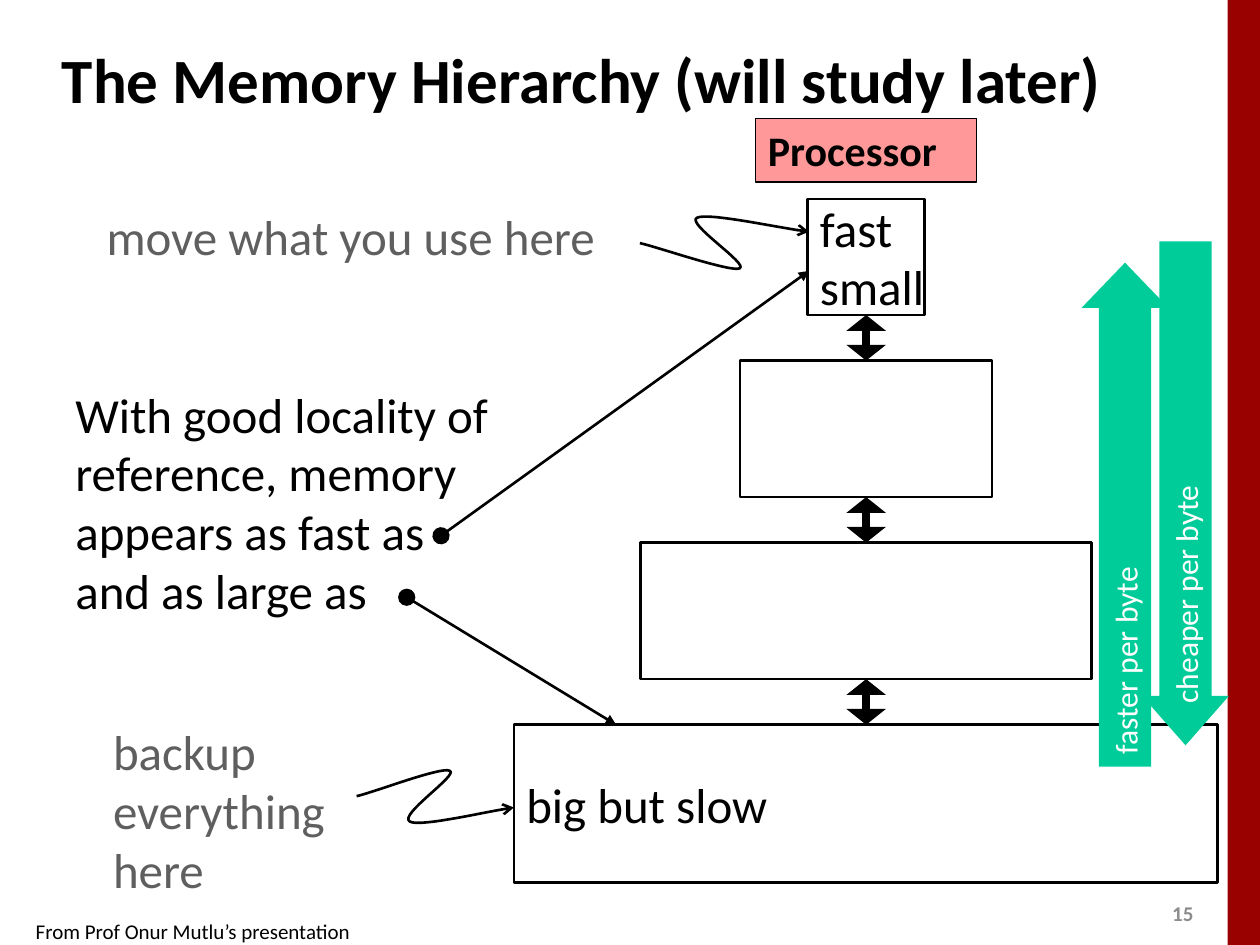
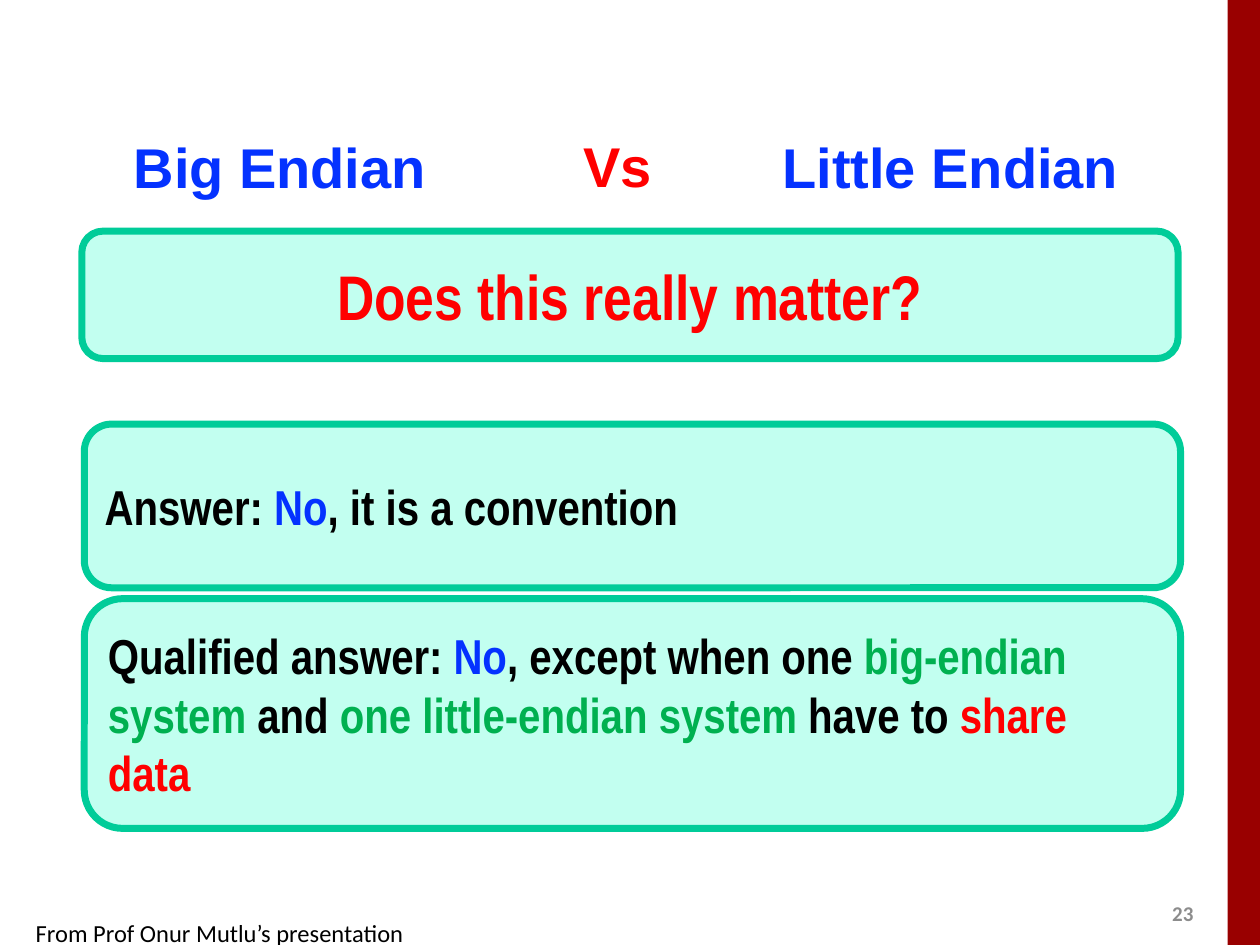
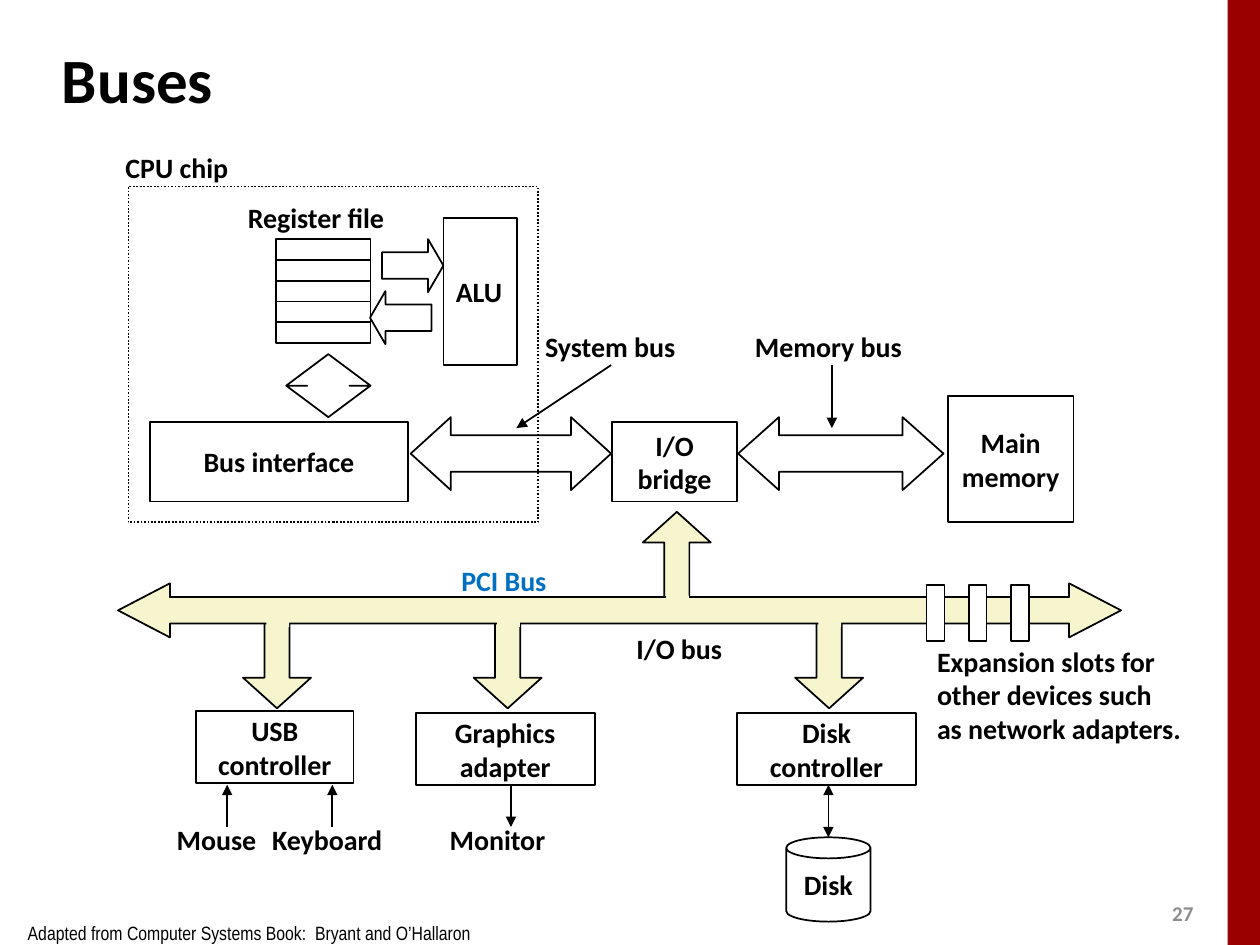
from dataclasses import dataclass, replace
from typing import Any, NamedTuple, Optional, Sequence, Union

from lxml import etree
from pptx import Presentation
from pptx import util as u
from pptx.dml.color import RGBColor
from pptx.enum import dml, shapes, text
from pptx.oxml import ns

BLACK, WHITE, GREY, RED, BLUE = "000000", "FFFFFF", "5F5F5F", "FF0000", "0432FF"
GREEN, TEAL, MINT, CREAM, PINK = "00B050", "00CC99", "C2FFF0", "F7F5CD", "FF9999"
MAROON, NUMBER_GREY, PCI_BLUE = "990000", "8C8C8C", "0070C0"

KIND = shapes.MSO_SHAPE
LEFT, CENTER = text.PP_ALIGN.LEFT, text.PP_ALIGN.CENTER
TOP, MIDDLE = text.MSO_ANCHOR.TOP, text.MSO_ANCHOR.MIDDLE


class Run(NamedTuple):
    words: str
    color: str


class Point(NamedTuple):
    x: float
    y: float


class LineEnd(NamedTuple):
    type: str
    w: str = "med"
    len: str = "med"


@dataclass(frozen=True)
class Look:
    size: float = 16
    bold: bool = True
    color: str = BLACK
    font: str = "Calibri"
    align: Any = LEFT
    anchor: Any = MIDDLE
    wrap: bool = False
    inset: Optional[float] = None


Line = Union[str, Sequence[Run]]

TRIANGLE = LineEnd("triangle")
WIDE_TRIANGLE = LineEnd("triangle", "lg", "sm")
LARGE_DOT = LineEnd("oval", "lg", "lg")
OPEN_ARROW = LineEnd("arrow")

LABEL = Look()
CENTERED = Look(align=CENTER)
BODY = Look(size=28, bold=False)
NOTE = replace(BODY, color=GREY, anchor=TOP)
HEADING = Look(size=36)
ARROW_TEXT = Look(size=18, bold=False, color=WHITE)
ENDIAN = Look(size=32, color=BLUE, font="Arial", align=CENTER, anchor=TOP, wrap=True)
ANSWER = Look(size=28, font="Arial Narrow", wrap=True)


@dataclass(frozen=True)
class Box:
    """A shape, or a plain text box when kind is None. Lengths are in cm, the outline in points."""
    left: float
    top: float
    width: float
    height: float
    lines: Sequence[Line] = ()
    look: Look = CENTERED
    kind: Any = KIND.RECTANGLE
    fill: Optional[str] = None
    outline: float = 1
    outline_color: str = BLACK
    dash: Any = None
    adjustments: Sequence[float] = ()
    rotation: float = 0


class Arrow(NamedTuple):
    start: Point
    end: Point
    head: Optional[LineEnd] = None
    tail: Optional[LineEnd] = TRIANGLE
    weight: float = 1


def rgb(color: str) -> RGBColor:
    return RGBColor.from_string(color)


def set_all(target: Any, values: dict[str, Any]) -> None:
    for name, value in values.items():
        setattr(target, name, value)


def write_text(shape: Any, lines: Sequence[Line], look: Look) -> None:
    frame = shape.text_frame
    set_all(frame, {"word_wrap": look.wrap, "vertical_anchor": look.anchor})
    if look.inset is not None:
        sides = ("left", "top", "right", "bottom")
        set_all(frame, {f"margin_{side}": u.Cm(look.inset) for side in sides})
    for index, line in enumerate(lines):
        paragraph = frame.add_paragraph() if index else frame.paragraphs[0]
        paragraph.alignment = look.align
        for part in [Run(line, look.color)] if isinstance(line, str) else line:
            run = paragraph.add_run()
            run.text = part.words
            set_all(run.font, {"size": u.Pt(look.size), "bold": look.bold, "name": look.font})
            run.font.color.rgb = rgb(part.color)


def set_outline(shape: Any, weight: float, color: str = BLACK) -> None:
    shape.line.color.rgb = rgb(color)
    shape.line.width = u.Pt(weight)


def set_ends(shape: Any, head: Optional[LineEnd], tail: Optional[LineEnd]) -> None:
    outline = shape.line._get_or_add_ln()
    for tag, end in (("a:headEnd", head), ("a:tailEnd", tail)):
        if end:
            etree.SubElement(outline, ns.qn(tag), end._asdict())


def draw_box(slide: Any, box: Box) -> None:
    place = [u.Cm(length) for length in (box.left, box.top, box.width, box.height)]
    if box.kind is None:
        write_text(slide.shapes.add_textbox(*place), box.lines, box.look)
        return
    shape = slide.shapes.add_shape(box.kind, *place)
    shape.shadow.inherit = False
    shape.rotation = box.rotation
    for index, value in enumerate(box.adjustments):
        shape.adjustments[index] = value
    if box.fill:
        shape.fill.solid()
        shape.fill.fore_color.rgb = rgb(box.fill)
    else:
        shape.fill.background()
    if box.outline:
        set_outline(shape, box.outline, box.outline_color)
        if box.dash:
            shape.line.dash_style = box.dash
    else:
        shape.line.fill.background()
    write_text(shape, box.lines, box.look)


def draw_arrow(slide: Any, arrow: Arrow) -> None:
    ends = [u.Cm(length) for length in (*arrow.start, *arrow.end)]
    connector = slide.shapes.add_connector(shapes.MSO_CONNECTOR.STRAIGHT, *ends)
    set_outline(connector, arrow.weight)
    set_ends(connector, arrow.head, arrow.tail)
    etree.SubElement(connector._element.spPr, ns.qn("a:effectLst"))


def draw_all(slide: Any, items: Sequence[Union[Box, Arrow]]) -> None:
    for item in items:
        (draw_arrow if isinstance(item, Arrow) else draw_box)(slide, item)


def draw_curved_arrow(slide: Any, points: Sequence[Point], steps: int = 16) -> None:
    """Draw joined cubic curves; points holds the start, then three points per curve."""
    traced = []
    for first in range(0, len(points) - 1, 3):
        corners = points[first:first + 4]
        for step in range(1, steps + 1):
            t = step / steps
            weights = ((1 - t) ** 3, 3 * t * (1 - t) ** 2, 3 * t ** 2 * (1 - t), t ** 3)
            traced.append([u.Cm(sum(w * corner[axis] for w, corner in zip(weights, corners)))
                           for axis in (0, 1)])
    builder = slide.shapes.build_freeform(u.Cm(points[0].x), u.Cm(points[0].y))
    builder.add_line_segments(traced, close=False)
    shape = builder.convert_to_shape()
    shape.shadow.inherit = False
    shape.fill.background()
    set_outline(shape, 1.5)
    set_ends(shape, None, OPEN_ARROW)


def label(left: float, top: float, width: float, words: str, look: Look = LABEL) -> Box:
    return Box(left, top, width, 0.94, [words], look, kind=None)


def footer(words: str, size: float, left: float = 0.72, top: float = 18.51,
           font: str = "Calibri") -> Box:
    look = Look(size=size, bold=False, font=font, anchor=TOP, inset=0)
    return Box(left, top, 12.6, 0.51, [words], look, kind=None)


def add_slide(presentation: Any, number: int, title: str = "") -> Any:
    slide = presentation.slides.add_slide(presentation.slide_layouts[6])
    draw_all(slide, [
        Box(24.75, 0, 0.65, 19.05, fill=MAROON, outline=0),
        Box(23.38, 18.03, 1.02, 0.76, [str(number)], Look(size=12, color=NUMBER_GREY), kind=None),
    ])
    if title:
        draw_box(slide, Box(1, 0.53, 22.53, 2.11, [title], HEADING, kind=None))
    return slide


def add_memory_hierarchy(presentation: Any) -> None:
    slide = add_slide(presentation, 15, "The Memory Hierarchy (will study later)")
    draw_all(slide, [
        Box(16.28, 4.01, 2.36, 2.34, ["fast", "small"], BODY, outline=1.5),
        Box(10.36, 14.61, 14.18, 3.18, ["big but slow"], BODY, outline=1.5),
        Box(1.9, 4.04, 10.69, 1.45, ["move what you use here"], NOTE, kind=None),
        Box(2.03, 14.43, 4.95, 3.84, ["backup", "everything", "here"], NOTE, kind=None),
        Box(1.27, 7.62, 9.4, 5.05,
            ["With good locality of reference, memory appears as fast as", "and as large as"],
            replace(BODY, anchor=TOP, wrap=True), kind=None),
        Arrow(Point(8.89, 10.8), Point(16.31, 5.46), LARGE_DOT, weight=1.5),
        Arrow(Point(8.2, 12.04), Point(12.42, 14.61), LARGE_DOT, weight=1.5),
    ])
    draw_curved_arrow(slide, [
        Point(12.9, 4.9), Point(13.26, 4.98), Point(14.73, 5.49), Point(14.91, 5.41),
        Point(15.11, 5.33), Point(13.82, 4.5), Point(14.05, 4.39),
        Point(14.27, 4.27), Point(15.82, 4.62), Point(16.31, 4.67)])
    draw_curved_arrow(slide, [
        Point(7.19, 16.05), Point(7.52, 15.98), Point(8.92, 15.44), Point(9.07, 15.54),
        Point(9.25, 15.62), Point(8.03, 16.43), Point(8.26, 16.56),
        Point(8.46, 16.69), Point(9.93, 16.33), Point(10.36, 16.28)])

    axis, first_gap, gap, level_height = 17.46, 6.35, 0.92, 2.75
    for index, level_width in enumerate((5.08, 9.09, None)):
        gap_top = first_gap + index * (gap + level_height)
        level_top = gap_top + gap
        draw_arrow(slide, Arrow(Point(axis, gap_top), Point(axis, level_top),
                                WIDE_TRIANGLE, WIDE_TRIANGLE, 4.5))
        if level_width:
            draw_box(slide, Box(axis - level_width / 2, level_top, level_width, level_height,
                                fill=WHITE, outline=1.5))

    draw_all(slide, [
        Box(17.6, 9.5, 10.16, 1.75, ["faster per byte"], ARROW_TEXT, KIND.RIGHT_ARROW, TEAL,
            outline=0, adjustments=(0.6, 0.52), rotation=270),
        Box(18.82, 9.07, 10.16, 1.75, ["cheaper per byte"], ARROW_TEXT, KIND.LEFT_ARROW, TEAL,
            outline=0, adjustments=(0.6, 0.57), rotation=270),
        Box(15.23, 2.39, 4.45, 1.28, ["Processor"], Look(size=24, anchor=TOP, wrap=True),
            fill=PINK, outline=0.75),
        footer("From Prof Onur Mutlu’s presentation", 12),
    ])


def answer_box(left: float, top: float, height: float, line: Line, look: Look = ANSWER) -> Box:
    return Box(left, top, 22.1, height, [line], look, KIND.ROUNDED_RECTANGLE, MINT, 4, TEAL)


def add_endianness(presentation: Any) -> None:
    slide = add_slide(presentation, 23)
    draw_all(slide, [
        label(1.53, 2.54, 8.23, "Big Endian", ENDIAN),
        label(14.82, 2.54, 8.69, "Little Endian", ENDIAN),
        answer_box(1.65, 4.66, 2.57, "Does this really matter?",
                   replace(ANSWER, size=36, color=RED, align=CENTER)),
        answer_box(1.7, 8.55, 3.3, [
            Run("Answer: ", BLACK), Run("No", BLUE), Run(", it is a convention", BLACK)]),
        answer_box(1.7, 12.07, 4.63, [
            Run("Qualified answer: ", BLACK), Run("No", BLUE), Run(", except when one ", BLACK),
            Run("big-endian system", GREEN), Run(" and ", BLACK),
            Run("one little-endian system", GREEN), Run(" have to ", BLACK),
            Run("share data", RED)]),
        label(8.33, 2.52, 8.23, "Vs", replace(ENDIAN, color=RED)),
        footer("From Prof Onur Mutlu’s presentation", 14),
    ])


def add_buses(presentation: Any) -> None:
    slide = add_slide(presentation, 27, "Buses")
    registers = [Box(5.56, 4.82 + 0.42 * row, 1.91, 0.42) for row in range(5)]
    draw_all(slide, [
        Box(19.11, 7.99, 2.53, 2.54, ["Main", "memory"]),
        Box(14.88, 8.41, 4.14, 1.47, kind=KIND.LEFT_RIGHT_ARROW, adjustments=(0.5, 0.56)),
        Box(12.34, 8.51, 2.52, 1.6, ["I/O", "bridge"]),
        Box(8.28, 8.41, 4.04, 1.47, kind=KIND.LEFT_RIGHT_ARROW, adjustments=(0.5, 0.55)),
        Box(3.02, 8.51, 5.21, 1.6, ["Bus interface"]),
        *registers,
        Box(7.7, 4.82, 1.24, 1.07, kind=KIND.RIGHT_ARROW, adjustments=(0.5, 0.29)),
        Box(7.46, 5.87, 1.24, 1.07, kind=KIND.LEFT_ARROW, adjustments=(0.5, 0.29)),
        Box(8.94, 4.39, 1.48, 2.97, ["ALU"], LABEL),
        label(4.72, 3.92, 3.3, "Register file", CENTERED),
        Box(5.77, 7.14, 1.7, 1.27, kind=KIND.UP_DOWN_ARROW, adjustments=(0.2, 0.5)),
        Box(2.59, 3.76, 8.26, 6.77, dash=dml.MSO_LINE.ROUND_DOT),
        label(2.28, 2.9, 2.62, "CPU chip"),
        label(10.74, 6.51, 3.18, "System bus"),
        Arrow(Point(12.32, 7.36), Point(10.41, 8.63)),
        label(14.97, 6.51, 3.51, "Memory bus"),
        Arrow(Point(16.77, 7.36), Point(16.77, 8.63)),
    ])

    bridge_branch = Box(12.96, 10.32, 1.37, 1.91, kind=KIND.UP_ARROW, fill=CREAM,
                        adjustments=(0.37, 0.45))
    branches = [bridge_branch] + [
        replace(bridge_branch, left=left, top=12.37, kind=KIND.DOWN_ARROW)
        for left in (16.03, 9.55, 4.9)]
    joints = [Box(branch.left + 0.47, 12.01 if branch is bridge_branch else 12.21, 0.46, 0.43,
                  fill=CREAM, outline=0) for branch in branches]
    slots = [Box(18.68 + 0.85 * column, 11.8, 0.36, 1.12, fill=WHITE) for column in range(3)]
    draw_all(slide, [
        *branches,
        Box(14.86, 14.38, 3.61, 1.45, ["Disk", "controller"]),
        Box(8.38, 14.38, 3.61, 1.45, ["Graphics", "adapter"]),
        Box(3.95, 14.34, 3.18, 1.45, ["USB", "controller"]),
        Arrow(Point(4.58, 15.82), Point(4.58, 16.67), TRIANGLE, None),
        Arrow(Point(6.7, 15.82), Point(6.7, 16.67), TRIANGLE, None),
        label(3.3, 16.46, 2.13, "Mouse", CENTERED),
        label(5.21, 16.46, 2.77, "Keyboard", CENTERED),
        Arrow(Point(10.3, 15.82), Point(10.3, 16.67)),
        label(8.8, 16.46, 2.46, "Monitor", CENTERED),
        Arrow(Point(16.7, 15.82), Point(16.7, 16.88), TRIANGLE),
        Box(15.85, 16.88, 1.7, 1.7, ["Disk"], kind=KIND.CAN, adjustments=(0.25,)),
        Box(2.38, 11.76, 20.22, 1.09, kind=KIND.LEFT_RIGHT_ARROW, fill=CREAM,
            adjustments=(0.49, 0.96)),
        *joints,
        label(12.58, 12.6, 2.26, "I/O bus"),
        *slots,
        Box(18.64, 12.85, 5.49, 2.31,
            ["Expansion slots for", "other devices such", "as network adapters."],
            LABEL, kind=None),
        label(9.05, 11.23, 2.26, "PCI Bus", replace(LABEL, color=PCI_BLUE)),
        footer("Adapted from Computer Systems Book:  Bryant and O’Hallaron", 11, 0.56, 18.57,
               "Arial Narrow"),
    ])


def main() -> None:
    presentation = Presentation()
    set_all(presentation, {"slide_width": u.Cm(25.4), "slide_height": u.Cm(19.05)})
    add_memory_hierarchy(presentation)
    add_endianness(presentation)
    add_buses(presentation)
    presentation.save("out.pptx")


if __name__ == "__main__":
    main()
